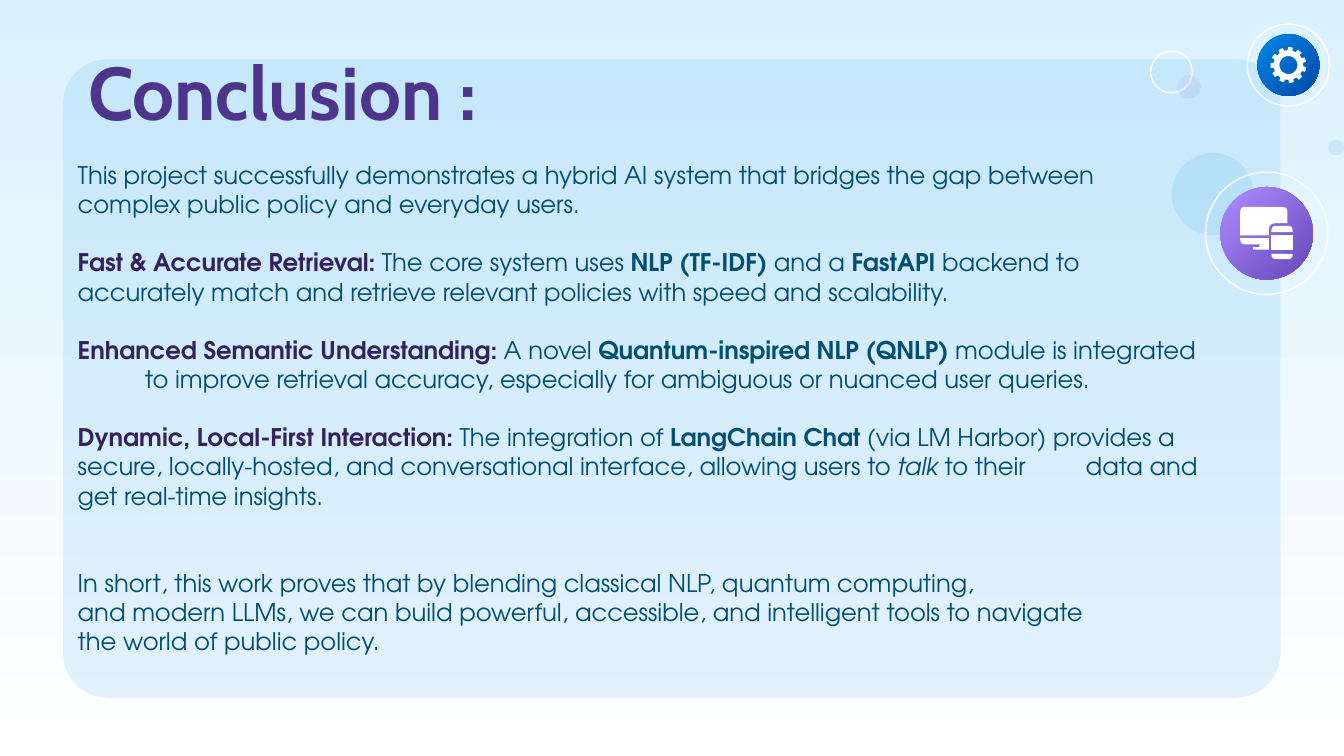
import math

from lxml import etree
from pptx import Presentation
from pptx import util as u
from pptx.dml import color
from pptx.enum import shapes, text
from pptx.oxml import ns

WHITE, BLUE, INK, PLUM = "FFFFFF", "0388E5", "034E73", "33235C"
VIOLET_FADE = ("AD8DFF", "6746B9")
BLUE_FADE = ("0388E5", "0048A7")
LINE_PITCH = 15.6  # points

TITLE = "Conclusion :"
STYLES = {
    "plain": dict(ink=INK),
    "lead": dict(ink=PLUM, bold=True),
    "bold": dict(ink=INK, bold=True),
    "italic": dict(ink=INK, italic=True),
}
# Each paragraph: lines of space before it, then its (style, words) runs
BODY = [
    (0, [("plain", "This project successfully demonstrates a hybrid AI system "
                   "that bridges the gap between")]),
    (0, [("plain", "complex public policy and everyday users.")]),
    (1, [("lead", "Fast & Accurate Retrieval: "),
         ("plain", "The core system uses "),
         ("bold", "NLP (TF-IDF)"),
         ("plain", " and a "),
         ("bold", "FastAPI"),
         ("plain", " backend to \taccurately match and retrieve relevant "
                   "policies with speed and scalability.")]),
    (1, [("lead", "Enhanced Semantic Understanding: "),
         ("plain", "A novel "),
         ("bold", "Quantum-inspired NLP (QNLP)"),
         ("plain", " module is integrated \tto improve retrieval accuracy, "
                   "especially for ambiguous or nuanced user queries.")]),
    (1, [("lead", "Dynamic, Local-First Interaction: "),
         ("plain", "The integration of "),
         ("bold", "LangChain Chat"),
         ("plain", " (via LM Harbor) provides a \tsecure, locally-hosted, and "
                   "conversational interface, allowing users to "),
         ("italic", "talk"),
         ("plain", " to their \tdata and get real-time insights.")]),
    (2, [("plain", "In short, this work proves that by blending classical NLP, "
                   "quantum computing,")]),
    (0, [("plain", "and modern LLMs, we can build powerful, accessible, and "
                   "intelligent tools to navigate")]),
    (0, [("plain", "the world of public policy.")]),
]

# Circles: centre x, centre y, diameter (cm), format
DEVICE, GEAR = (23.94, 4.41), (24.35, 1.23)
CIRCLES = [
    (22.92, 3.67, 1.55, dict(fill=BLUE, opacity=10)),
    (*DEVICE, 2.31, dict(line=WHITE)),
    (*DEVICE, 1.75, dict(fill=VIOLET_FADE)),
    (22.14, 1.36, 0.79, dict(line=WHITE)),
    (22.47, 1.64, 0.43, dict(fill=VIOLET_FADE, opacity=10)),
    (*GEAR, 1.55, dict(line=WHITE)),
    (*GEAR, 1.17, dict(fill=BLUE_FADE)),
    (25.25, 2.79, 0.30, dict(fill=BLUE, opacity=10)),
]

# Device outlines: corners as x, y, corner radius (cm)
DEVICE_PARTS = [
    [(24.03, 4.45, 0), (24.43, 4.45, 0), (24.43, 4.72, 0), (24.03, 4.72, 0)],
    [(24.03, 4.80, 0), (24.43, 4.80, 0), (24.43, 4.90, 0.09), (24.03, 4.90, 0.09)],
    [(24.03, 4.27, 0.09), (24.43, 4.27, 0.09), (24.43, 4.39, 0), (24.03, 4.39, 0)],
    [(23.44, 4.50, 0), (23.44, 4.62, 0.1), (23.80, 4.62, 0), (23.80, 4.67, 0),
     (23.68, 4.67, 0.02), (23.68, 4.72, 0.02), (23.98, 4.72, 0), (23.98, 4.50, 0)],
    [(23.44, 3.91, 0.1), (23.44, 4.45, 0), (23.98, 4.45, 0), (23.98, 4.22, 0.13),
     (24.33, 4.22, 0), (24.33, 3.91, 0.1)],
]
TEETH, TIP, ROOT, HOLE = 11, 0.34, 0.28, 0.17


def rgb(value):
    return color.RGBColor.from_string(value)


def set_fade(fill, colours, angle):
    fill.gradient()
    fill.gradient_angle = angle
    for stop, value in zip(fill.gradient_stops, colours):
        stop.color.rgb = rgb(value)


def paint(shape, fill=None, line=None, opacity=100):
    """Fill with one colour, a pair of colours as a gradient, or nothing."""
    shape.shadow.inherit = False
    if fill is None:
        shape.fill.background()
    elif isinstance(fill, tuple):
        set_fade(shape.fill, fill, 315)
    else:
        shape.fill.solid()
        shape.fill.fore_color.rgb = rgb(fill)
    if opacity < 100:
        for node in shape.element.spPr.iter(ns.qn("a:srgbClr")):
            etree.SubElement(node, ns.qn("a:alpha"), val=str(opacity * 1000))
    if line:
        shape.line.color.rgb = rgb(line)
        shape.line.width = u.Pt(0.75)
    else:
        shape.line.fill.background()


def add_preset(slide, kind, left, top, width, height, **look):
    shape = slide.shapes.add_shape(kind, *map(u.Cm, (left, top, width, height)))
    paint(shape, **look)
    return shape


def add_outline(slide, *contours):
    """Draw closed white contours as one freeform; a second one cuts a hole."""
    builder = None
    for contour in contours:
        start, *rest = [(u.Cm(x), u.Cm(y)) for x, y in contour]
        if builder is None:
            builder = slide.shapes.build_freeform(*start, scale=1.0)
        else:
            builder.move_to(*start)
        builder.add_line_segments(rest, close=True)
    paint(builder.convert_to_shape(), fill=WHITE)


def rounded(corners, steps=6):
    """Turn corners with radii into points, each curve sampled in steps."""
    points = []
    for i, (x, y, radius) in enumerate(corners):
        if not radius:
            points.append((x, y))
            continue
        ends = []
        for nx, ny, _ in (corners[i - 1], corners[(i + 1) % len(corners)]):
            share = radius / math.dist((x, y), (nx, ny))
            ends.append((x + (nx - x) * share, y + (ny - y) * share))
        (ax, ay), (bx, by) = ends
        for t in (k / steps for k in range(steps + 1)):
            a, c, b = (1 - t) ** 2, 2 * t * (1 - t), t ** 2
            points.append((a * ax + c * x + b * bx, a * ay + c * y + b * by))
    return points


def around(centre, radius, degrees):
    angle = math.radians(degrees)
    return (centre[0] + radius * math.cos(angle), centre[1] + radius * math.sin(angle))


def add_gear(slide):
    pitch = 360 / TEETH
    profile = [(-0.3, ROOT), (-0.22, TIP), (0.22, TIP), (0.3, ROOT)]
    rim = [around(GEAR, radius, pitch * (tooth + offset) - 18)
           for tooth in range(TEETH) for offset, radius in profile]
    hole = [around(GEAR, HOLE, -degrees) for degrees in range(0, 360, 10)]
    add_outline(slide, rim, hole)


def add_box(slide, left, top, width, height, inset_y):
    box = slide.shapes.add_textbox(*map(u.Cm, (left, top, width, height)))
    frame = box.text_frame
    frame.word_wrap = True
    frame.vertical_anchor = text.MSO_ANCHOR.TOP
    frame.margin_left = frame.margin_right = u.Cm(0.25)
    frame.margin_top = frame.margin_bottom = u.Cm(inset_y)
    return frame


def add_span(para, words, size, font, ink, bold=False, italic=False):
    span = para.add_run()
    span.text = words
    span.font.size, span.font.name = u.Pt(size), font
    span.font.bold, span.font.italic = bold, italic
    span.font.color.rgb = rgb(ink)


def main():
    deck = Presentation()
    deck.slide_width, deck.slide_height = u.Cm(25.4), u.Cm(14.29)
    slide = deck.slides.add_slide(deck.slide_layouts[6])
    set_fade(slide.background.fill, (WHITE, "DAF2FE"), 90)

    panel = add_preset(slide, shapes.MSO_SHAPE.ROUNDED_RECTANGLE,
                       1.19, 1.12, 23.01, 12.07, fill=BLUE, opacity=10)
    panel.adjustments[0] = 0.07

    title = add_box(slide, 1.42, 0.61, 21.44, 1.85, inset_y=0.25)
    add_span(title.paragraphs[0], TITLE, 40, "Cabin", "4D358B", bold=True)

    body = add_box(slide, 1.22, 2.9, 21.72, 10.46, inset_y=0.13)
    for i, (gap, spans) in enumerate(BODY):
        para = body.add_paragraph() if i else body.paragraphs[0]
        if gap:
            para.space_before = u.Pt(gap * LINE_PITCH)
        for style, words in spans:
            add_span(para, words, 13, "TeX Gyre Adventor", **STYLES[style])

    for x, y, size, look in CIRCLES:
        add_preset(slide, shapes.MSO_SHAPE.OVAL,
                   x - size / 2, y - size / 2, size, size, **look)
    for corners in DEVICE_PARTS:
        add_outline(slide, rounded(corners))
    add_gear(slide)
    deck.save("out.pptx")


if __name__ == "__main__":
    main()
